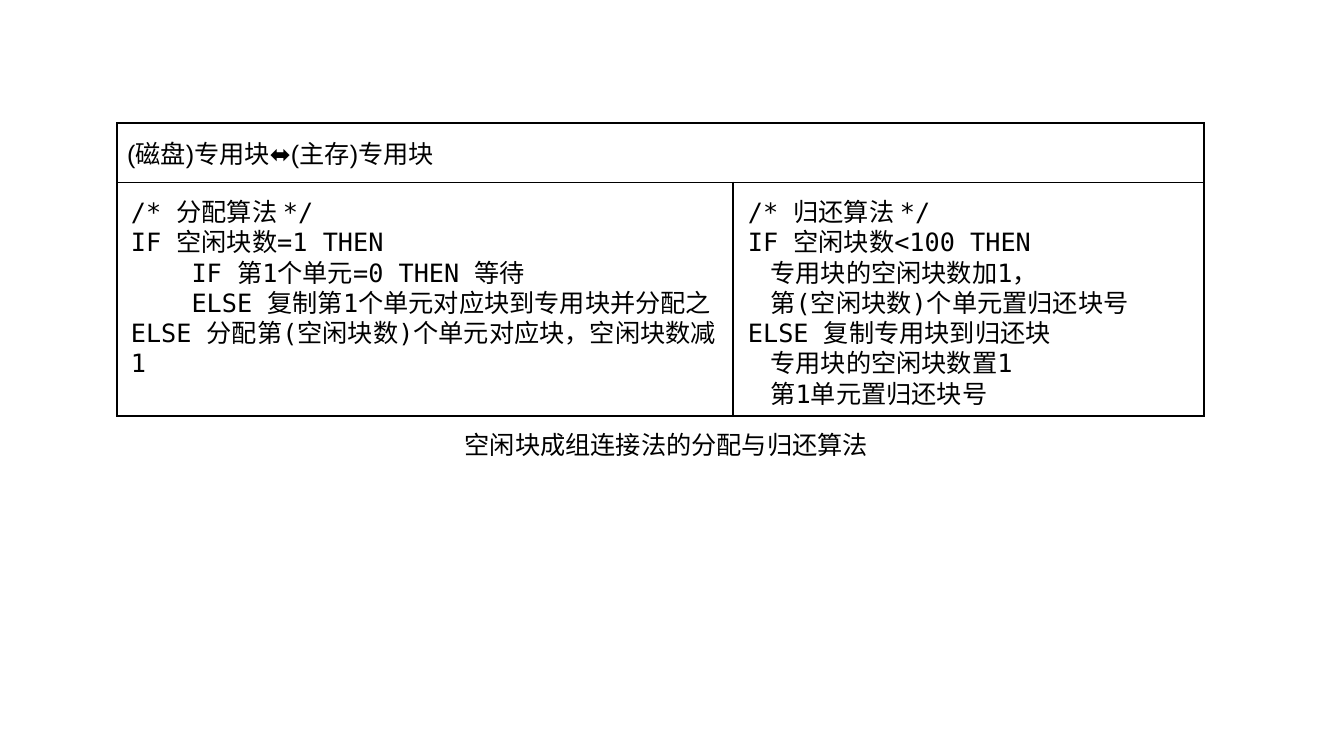
from lxml import etree
from pptx import Presentation
from pptx.dml.color import RGBColor
from pptx.enum.text import MSO_ANCHOR
from pptx.oxml.ns import qn
from pptx.util import Inches, Pt

BLACK = RGBColor(0x00, 0x00, 0x00)
CODE_FONT = "DejaVu Sans Mono"
HEADER_FONT = "Arial"
CHINESE_FONT = "Noto Sans CJK SC"
CODE_LINE_SPACING = Pt(21.6)

HEADER = "(磁盘)专用块⬌(主存)专用块"
CAPTION = "空闲块成组连接法的分配与归还算法"
ALLOCATE = [
    "/* 分配算法 */",
    "IF 空闲块数=1 THEN",
    "    IF 第1个单元=0 THEN 等待",
    "    ELSE 复制第1个单元对应块到专用块并分配之",
    "ELSE 分配第(空闲块数)个单元对应块，空闲块数减1",
]
RELEASE = [
    "/* 归还算法 */",
    "IF 空闲块数<100 THEN",
    "    专用块的空闲块数加1，",
    "    第(空闲块数)个单元置归还块号",
    "ELSE 复制专用块到归还块",
    "    专用块的空闲块数置1",
    "    第1单元置归还块号",
]


def write_lines(text_frame, lines, font_name, size=18, color=BLACK, line_spacing=None):
    """Write one paragraph per line; Chinese characters take the Chinese font."""
    text_frame.word_wrap = True
    for index, line in enumerate(lines):
        paragraph = text_frame.paragraphs[0] if index == 0 else text_frame.add_paragraph()
        paragraph.line_spacing = line_spacing
        run = paragraph.add_run()
        run.text = line
        run.font.size = Pt(size)
        run.font.color.rgb = color
        run.font.name = font_name
        east_asian = etree.SubElement(run.font._element, qn("a:ea"))
        east_asian.set("typeface", CHINESE_FONT)


def add_text(slide, left, top, width, height, lines, font_name, **text_format):
    box = slide.shapes.add_textbox(Inches(left), Inches(top), Inches(width), Inches(height))
    write_lines(box.text_frame, lines, font_name, **text_format)


def outline_cell(cell, width=1.5, color=BLACK):
    properties = cell._tc.get_or_add_tcPr()
    for position, side in enumerate(("a:lnL", "a:lnR", "a:lnT", "a:lnB")):
        line = etree.Element(qn(side), w=str(Pt(width)))
        fill = etree.SubElement(line, qn("a:solidFill"))
        etree.SubElement(fill, qn("a:srgbClr"), val=str(color))
        properties.insert(position, line)


def add_frame_table(slide, left, top, column_widths, row_heights):
    """Draw the ruled frame: a header row across two empty cells."""
    table = slide.shapes.add_table(
        len(row_heights), len(column_widths), Inches(left), Inches(top),
        Inches(sum(column_widths)), Inches(sum(row_heights))).table
    table.first_row = False
    table.horz_banding = False
    for column, width in zip(table.columns, column_widths):
        column.width = Inches(width)
    for row, height in zip(table.rows, row_heights):
        row.height = Inches(height)
    for cell in table.iter_cells():
        cell.fill.background()
        outline_cell(cell)
    header = table.cell(0, 0)
    header.merge(table.cell(0, len(column_widths) - 1))
    header.vertical_anchor = MSO_ANCHOR.MIDDLE
    write_lines(header.text_frame, [HEADER], HEADER_FONT)


def add_algorithm_slide(presentation, left, top):
    slide = presentation.slides.add_slide(presentation.slide_layouts[6])
    column_widths, row_heights = (6.11, 4.67), (0.59, 2.32)
    add_frame_table(slide, left, top, column_widths, row_heights)
    code_top = top + row_heights[0] + 0.09
    release_left = left + column_widths[0] + 0.05
    add_text(slide, left + 0.04, code_top, 6.07, 1.62, ALLOCATE, CODE_FONT,
             line_spacing=CODE_LINE_SPACING)
    add_text(slide, release_left, code_top, 4.6, 2.22, RELEASE, CODE_FONT,
             line_spacing=CODE_LINE_SPACING)
    caption_top = top + sum(row_heights) + 0.08
    add_text(slide, left + 3.35, caption_top, 4.51, 0.41, [CAPTION], CHINESE_FONT)


def main():
    presentation = Presentation()
    presentation.slide_width = Inches(13.33)
    presentation.slide_height = Inches(7.5)
    add_algorithm_slide(presentation, left=1.16, top=1.22)
    presentation.save("out.pptx")


if __name__ == "__main__":
    main()
